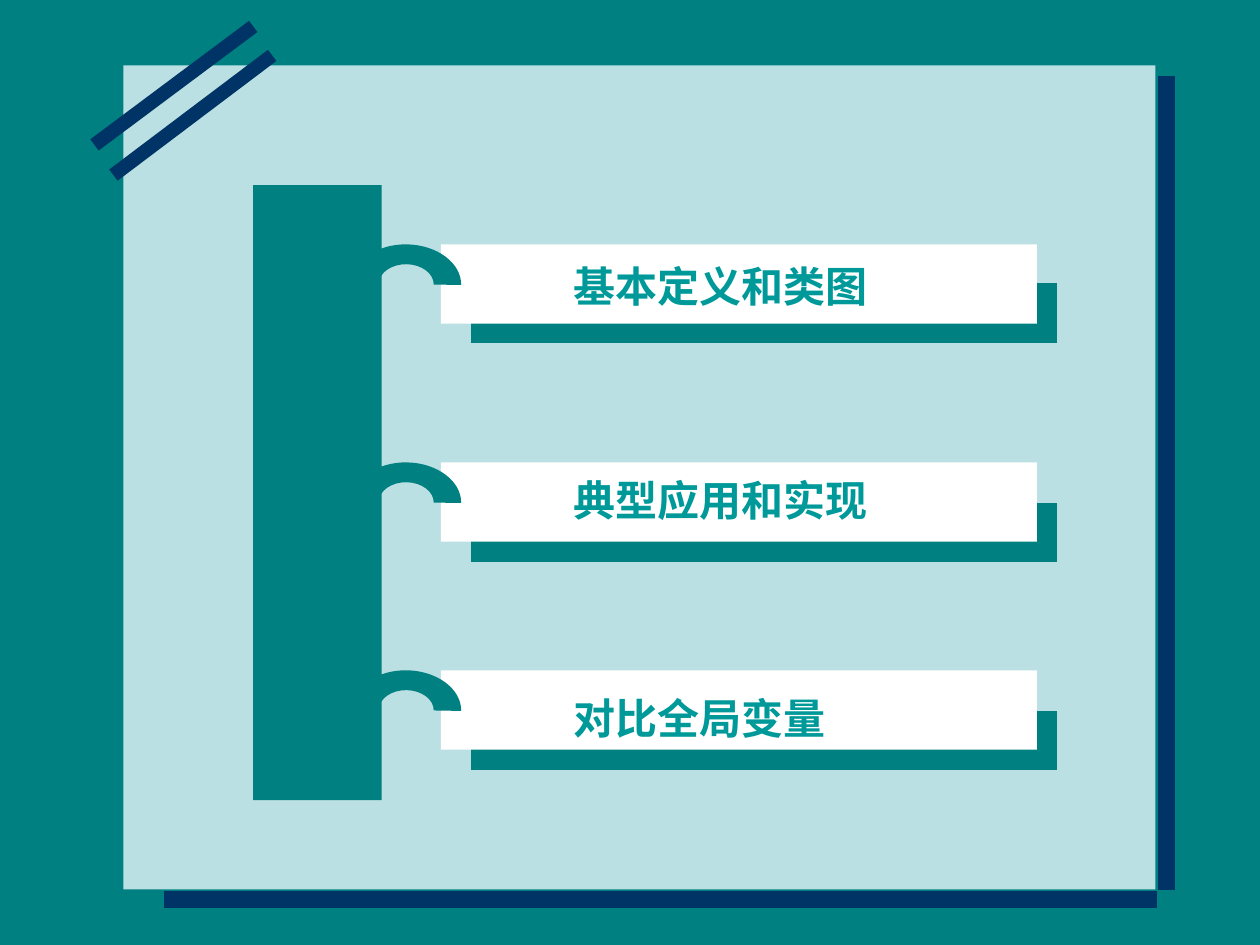
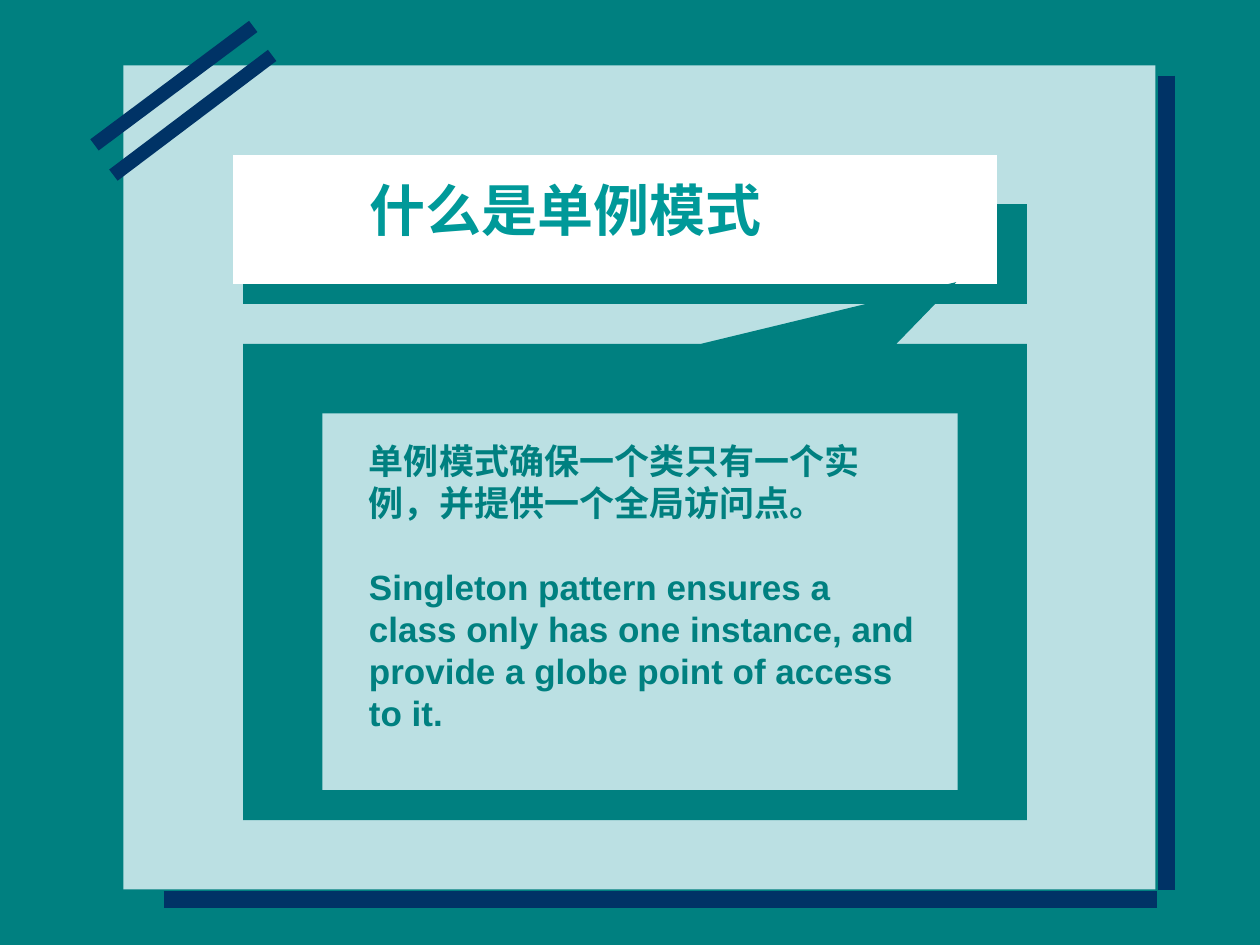
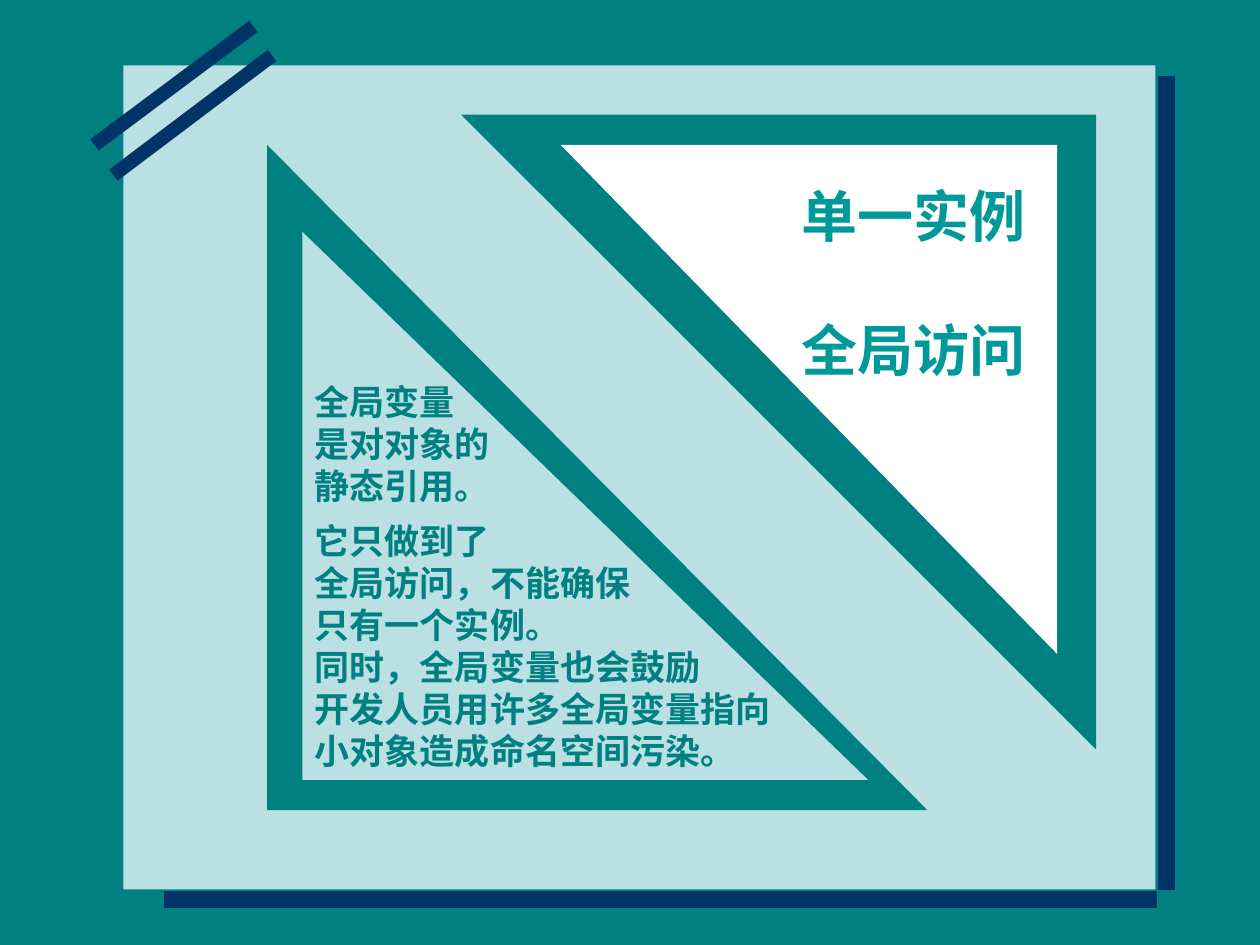
from dataclasses import dataclass

from lxml.etree import SubElement
from pptx import Presentation
from pptx.dml.color import RGBColor
from pptx.enum.shapes import MSO_CONNECTOR, MSO_SHAPE
from pptx.enum.text import MSO_ANCHOR, MSO_AUTO_SIZE, PP_ALIGN
from pptx.oxml.ns import qn
from pptx.util import Inches, Pt


@dataclass(frozen=True)
class Theme:
    teal: RGBColor = RGBColor(0x00, 0x80, 0x80)
    pale: RGBColor = RGBColor(0xBB, 0xE0, 0xE3)
    navy: RGBColor = RGBColor(0x00, 0x33, 0x66)
    white: RGBColor = RGBColor(0xFF, 0xFF, 0xFF)
    head: RGBColor = RGBColor(0x00, 0x99, 0x99)
    font: str = "Arial"
    title: int = 32
    label: int = 24
    body: int = 20


THEME = Theme()


def paint(shape, fill):
    shape.shadow.inherit = False
    shape.fill.solid()
    shape.fill.fore_color.rgb = fill
    shape.line.fill.background()


def block(slide, at, fill, kind=MSO_SHAPE.RECTANGLE, turn=0):
    shape = slide.shapes.add_shape(kind, *map(Inches, at))
    paint(shape, fill)
    shape.rotation = turn
    return shape


def stripe(slide, ends, width):
    line = slide.shapes.add_connector(MSO_CONNECTOR.STRAIGHT, *map(Inches, ends))
    line.line.color.rgb = THEME.navy
    line.line.width = Pt(width)
    SubElement(line.element.spPr, qn("a:effectLst"))
    return line


def bend(path, lines):
    curve = path.makeelement(qn("a:cubicBezTo"), {})
    lines[0].addprevious(curve)
    for line in lines:
        curve.append(line[0])
        path.remove(line)


def ring(slide, left, top):
    wide, high, pull = 0.87, 0.63, 0.55
    arch = [(-1, 0), (-1, -pull), (-pull, -1), (0, -1), (pull, -1), (1, -pull), (1, 0)]
    inner = [(x / 2, y / 2) for x, y in reversed(arch)]
    points = [(Inches(left + wide / 2 * (1 + x)), Inches(top + high / 2 * (1 + y)))
              for x, y in arch + inner]
    draft = slide.shapes.build_freeform(*points[0])
    draft.add_line_segments(points[1:])
    shape = draft.convert_to_shape()
    path = shape.element.xpath(".//a:path")[0]
    lines = path.findall(qn("a:lnTo"))
    for start in (0, 3, 7, 10):
        bend(path, lines[start:start + 3])
    shape.height = Inches(high)
    path.set("h", str(Inches(high)))
    shape.rotation = 1
    paint(shape, THEME.teal)


def write(slide, at, *lines, size=THEME.body, color=THEME.teal, gap=0, title=False):
    if title:
        box = slide.shapes.title
        box.left, box.top, box.width, box.height = map(Inches, at)
        slide.shapes.element.append(box.element)
    else:
        box = slide.shapes.add_textbox(*map(Inches, at))
    frame = box.text_frame
    frame.word_wrap = True
    frame.auto_size = MSO_AUTO_SIZE.SHAPE_TO_FIT_TEXT
    frame.vertical_anchor = MSO_ANCHOR.TOP
    for i, line in enumerate(lines):
        para = frame.add_paragraph() if i else frame.paragraphs[0]
        para.alignment = PP_ALIGN.LEFT
        para._p.get_or_add_pPr().set("hangingPunct", "0")
        if i and gap:
            para.space_before = Pt(gap)
        run = para.add_run()
        run.text = line
        run.font.name = THEME.font
        run.font.size = Pt(size)
        run.font.bold = True
        run.font.color.rgb = color


def set_frame(deck, slide):
    master = deck.slide_master
    master.background.fill.solid()
    master.background.fill.fore_color.rgb = THEME.teal
    parts = [
        block(slide, (0.98, 0.52, 8.19, 6.54), THEME.pale),
        stripe(slide, (2.16, 0.44, 0.9, 1.39), 8),
        stripe(slide, (2.01, 0.21, 0.75, 1.15), 8),
        stripe(slide, (1.3, 7.14, 9.18, 7.14), 10),
        stripe(slide, (9.26, 0.6, 9.26, 7.06), 10),
    ]
    for mark, part in enumerate(parts, 20):
        part.element.xpath("./*/p:cNvPr")[0].set("id", str(mark))
        master.shapes.element.append(part.element)


def agenda(slide):
    rows = (
        (1.94, 2.25, 2.02, 3.41, "基本定义和类图"),
        (3.67, 3.99, 3.72, 3.41, "典型应用和实现"),
        (5.32, 5.64, 5.45, 4.65, "对比全局变量"),
    )
    block(slide, (2.01, 1.47, 1.02, 4.88), THEME.teal)
    for top, shade_top, text_top, width, label in rows:
        block(slide, (3.74, shade_top, 4.65, 0.47), THEME.teal,
              MSO_SHAPE.FLOWCHART_PROCESS)
        block(slide, (3.5, top, 4.73, 0.63), THEME.white)
        ring(slide, 2.79, top)
        write(slide, (4.45, text_top, width, 0.5), label,
              size=THEME.label, color=THEME.head)


def meaning(slide):
    block(slide, (1.93, 1.62, 6.22, 0.79), THEME.teal, MSO_SHAPE.FLOWCHART_PROCESS)
    block(slide, (1.85, 1.23, 6.06, 1.02), THEME.white, MSO_SHAPE.FLOWCHART_PROCESS)
    write(slide, (2.83, 1.34, 4.37, 0.64), "什么是单例模式",
          size=THEME.title, color=THEME.head, title=True)
    bubble = block(slide, (1.93, 2.73, 6.22, 3.78), THEME.teal,
                   MSO_SHAPE.RECTANGULAR_CALLOUT, turn=180)
    bubble.adjustments[0] = -0.41
    bubble.adjustments[1] = 0.63
    block(slide, (2.56, 3.28, 5.04, 2.99), THEME.pale)
    write(slide, (2.83, 3.44, 4.58, 2.77),
          "单例模式确保一个类只有一个实例，并提供一个全局访问点。",
          "Singleton pattern ensures a class only has one instance, "
          "and provide a globe point of access to it.", gap=24)


def contrast(slide):
    corner = MSO_SHAPE.RIGHT_TRIANGLE
    block(slide, (2.12, 1.15, 5.24, 5.28), THEME.teal, corner)
    block(slide, (3.66, 0.91, 5.04, 5.04), THEME.teal, corner, turn=180)
    block(slide, (4.45, 1.15, 3.94, 4.04), THEME.white, corner, turn=180)
    write(slide, (6.26, 1.39, 2.99, 2.24), "单一实例", "全局访问",
          size=THEME.title, color=THEME.head, gap=38, title=True)
    block(slide, (2.4, 1.84, 4.49, 4.35), THEME.pale, corner)
    write(slide, (2.4, 4.07, 3.86, 2.1), "它只做到了", "全局访问，不能确保",
          "只有一个实例。", "同时，全局变量也会鼓励",
          "开发人员用许多全局变量指向小对象造成命名空间污染。")
    write(slide, (2.4, 2.97, 1.65, 1.1), "全局变量", "是对对象的静态引用。")


def main():
    deck = Presentation()
    deck.slide_width, deck.slide_height = Inches(10), Inches(7.5)
    plain = deck.slide_layouts.get_by_name("Blank")
    titled = deck.slide_layouts.get_by_name("Title Only")
    first = deck.slides.add_slide(plain)
    set_frame(deck, first)
    agenda(first)
    meaning(deck.slides.add_slide(titled))
    contrast(deck.slides.add_slide(titled))
    deck.save("out.pptx")


if __name__ == "__main__":
    main()
